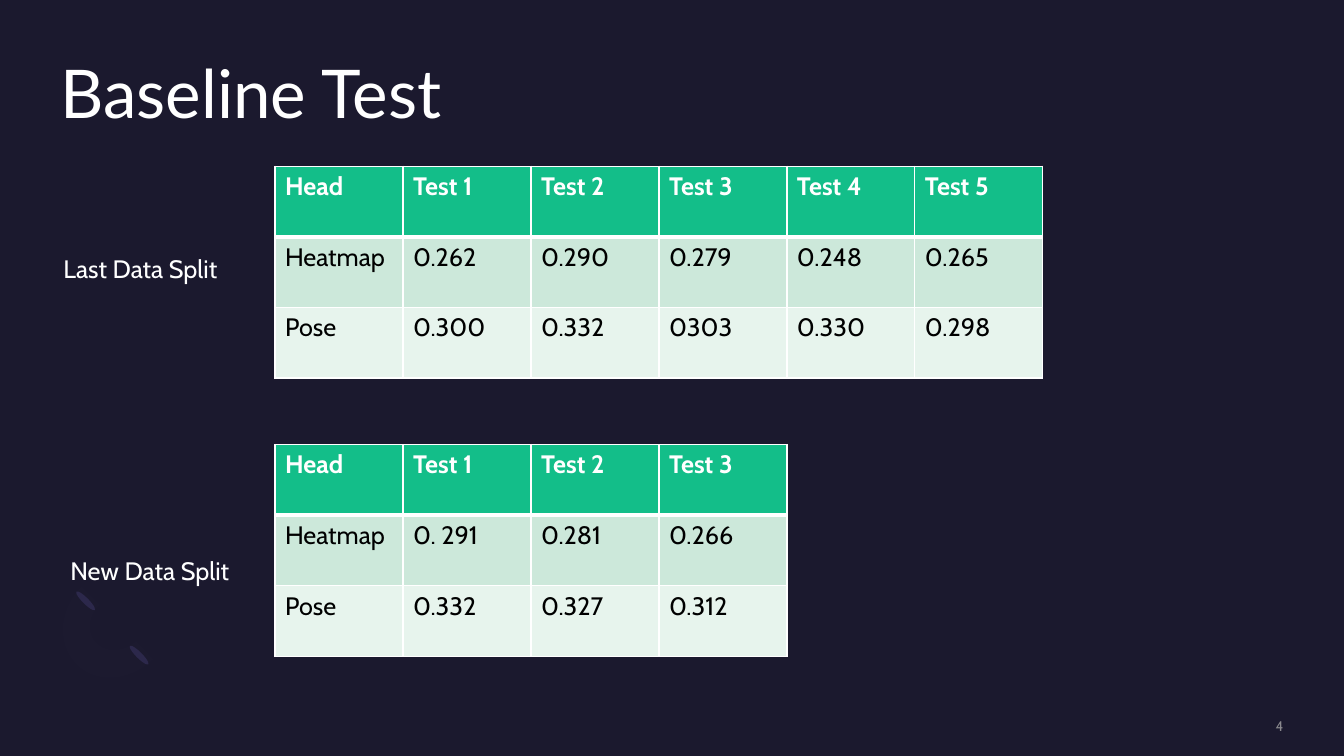
import pptx
import pptx.dml.color
import pptx.enum.shapes
import pptx.enum.text
import pptx.oxml
import pptx.oxml.ns
import pptx.util

Pt = pptx.util.Pt
qn = pptx.oxml.ns.qn
ANCHOR = pptx.enum.text.MSO_ANCHOR
ALIGN = pptx.enum.text.PP_ALIGN

COLORS = {
    "background": "1B192E",
    "white": "FFFFFF",
    "black": "000000",
    "header": "13BE89",
    "band_dark": "CCE8DA",
    "band_light": "E7F4ED",
    "petal": "2C284A",
    "crescent": "7771B2",
    "number": "A6A6A6",
}
COLUMN_WIDTH = 91.44
ROW_HEIGHT = 50.4

LAST_SPLIT = [
    ["Head", "Test 1", "Test 2", "Test 3", "Test 4", "Test 5"],
    ["Heatmap", "0.262", "0.290", "0.279", "0.248", "0.265"],
    ["Pose", "0.300", "0.332", "0303", "0.330", "0.298"],
]
NEW_SPLIT = [
    ["Head", "Test 1", "Test 2", "Test 3"],
    ["Heatmap", "0. 291", "0.281", "0.266"],
    ["Pose", "0.332", "0.327", "0.312"],
]

# Crescent outline: a start point, then line ends or cubic curves
CRESCENT_START = (14.7, 55.5)
CRESCENT_PARTS = [
    [(0.3, 41.1), (1.8, 16.6), (18.3, 0)],
    [(31.3, 13)],
    [(22.6, 20.9), (21.9, 33.9), (29.1, 40.4)],
    [(36.3, 47.6), (48.6, 46.8), (57.2, 38.9)],
    [(69.4, 51.9)],
    [(53.6, 67.7), (28.4, 69.9), CRESCENT_START],
]


def color(name):
    return pptx.dml.color.RGBColor.from_string(COLORS[name])


def set_opacity(element, percent):
    for value in element.iter(qn("a:srgbClr")):
        alpha = value.makeelement(qn("a:alpha"), {"val": str(percent * 1000)})
        value.append(alpha)


def format_text(para, size, font, color_name, bold=False):
    for span in para.runs:
        span.font.size = Pt(size)
        span.font.name = font
        span.font.bold = bold
        span.font.color.rgb = color(color_name)


def curve_points(start, controls, steps=12):
    (x0, y0), (x1, y1), (x2, y2), (x3, y3) = [start] + controls
    for step in range(1, steps + 1):
        t = step / steps
        a, b, c, d = (1 - t) ** 3, 3 * t * (1 - t) ** 2, 3 * t * t * (1 - t), t ** 3
        yield a * x0 + b * x1 + c * x2 + d * x3, a * y0 + b * y1 + c * y2 + d * y3


def finish_ornament(shape, color_name):
    shape.shadow.inherit = False
    shape.line.fill.background()
    shape.fill.solid()
    shape.fill.fore_color.rgb = color(color_name)


def add_ornament(page, left, top):
    # Two tilted petals
    for x, y in [(57.2, 39.6), (19, 0.8)]:
        petal = page.shapes.add_shape(pptx.enum.shapes.MSO_SHAPE.OVAL,
                                      Pt(left + x), Pt(top + y), Pt(4.3), Pt(18.7))
        petal.rotation = 135
        finish_ornament(petal, "petal")
    # Faint crescent
    outline = [CRESCENT_START]
    for part in CRESCENT_PARTS:
        outline += part if len(part) == 1 else list(curve_points(outline[-1], part))
    points = [(Pt(left + x), Pt(top + y)) for x, y in outline]
    builder = page.shapes.build_freeform(*points[0])
    builder.add_line_segments(points[1:], close=True)
    crescent = builder.convert_to_shape()
    finish_ornament(crescent, "crescent")
    set_opacity(crescent.fill._xPr.find(qn("a:solidFill")), 1)


def add_title(page, left, top, width, height):
    title = page.shapes.title
    title.left, title.top, title.width, title.height = map(Pt, (left, top, width, height))
    frame = title.text_frame
    frame.text = "Baseline Test"
    frame.auto_size = pptx.enum.text.MSO_AUTO_SIZE.NONE
    frame.vertical_anchor = ANCHOR.TOP
    frame.margin_left = frame.margin_right = frame.margin_top = frame.margin_bottom = 0
    para = frame.paragraphs[0]
    para.alignment = ALIGN.LEFT
    para.line_spacing = 0.9
    format_text(para, 48, "Lato", "white")


def add_text(page, text, left, top, width, height, size, color_name):
    box = page.shapes.add_textbox(Pt(left), Pt(top), Pt(width), Pt(height))
    frame = box.text_frame
    frame.word_wrap = True
    frame.text = text
    format_text(frame.paragraphs[0], size, "Cabin", color_name)
    return frame


def add_page_number(page, left, top, width, height):
    frame = add_text(page, "4", left, top, width, height, 10, "number")
    frame.margin_left = frame.margin_right = frame.margin_top = frame.margin_bottom = 0
    frame.vertical_anchor = ANCHOR.MIDDLE
    para = frame.paragraphs[0]
    para.alignment = ALIGN.RIGHT
    set_opacity(para.runs[0].font._element, 80)


def set_borders(cell, row):
    widths = {"L": 1, "R": 1, "T": 3 if row == 1 else 1, "B": 3 if row == 0 else 1}
    properties = cell._tc.get_or_add_tcPr()
    for side, width in widths.items():
        properties.append(pptx.oxml.parse_xml(
            f'<a:ln{side} xmlns:a="http://schemas.openxmlformats.org/drawingml/2006/main" '
            f'w="{Pt(width)}"><a:solidFill><a:srgbClr val="{COLORS["white"]}"/>'
            f'</a:solidFill></a:ln{side}>'))


def add_results(page, rows, left, top):
    row_count, column_count = len(rows), len(rows[0])
    table = page.shapes.add_table(row_count, column_count, Pt(left), Pt(top),
                                  Pt(COLUMN_WIDTH * column_count),
                                  Pt(ROW_HEIGHT * row_count)).table
    for column in table.columns:
        column.width = Pt(COLUMN_WIDTH)
    fills = ["header", "band_dark", "band_light"]
    for r, values in enumerate(rows):
        table.rows[r].height = Pt(ROW_HEIGHT)
        for c, value in enumerate(values):
            cell = table.cell(r, c)
            cell.text_frame.text = value
            format_text(cell.text_frame.paragraphs[0], 18, "Cabin",
                        "black" if r else "white", bold=r == 0)
            set_borders(cell, r)
            cell.fill.solid()
            cell.fill.fore_color.rgb = color(fills[r])


def build_baseline_page(deck):
    page = deck.slides.add_slide(deck.slide_layouts[5])
    page.background.fill.solid()
    page.background.fill.fore_color.rgb = color("background")
    add_ornament(page, 40, 419)
    add_title(page, 43.2, 43.2, 873.4, 105.1)
    add_page_number(page, 783.4, 512.6, 133.2, 12.2)
    # Results and the label beside each table
    add_results(page, LAST_SPLIT, 196.4, 118.8)
    add_results(page, NEW_SPLIT, 196.4, 317.5)
    add_text(page, "Last Data Split", 38.2, 177.1, 136.8, 28.8, 18, "white")
    add_text(page, "New Data Split", 43.2, 393.1, 136.8, 28.8, 18, "white")


def main():
    deck = pptx.Presentation()
    deck.slide_width, deck.slide_height = Pt(960), Pt(540)
    build_baseline_page(deck)
    deck.save("out.pptx")


if __name__ == "__main__":
    main()
